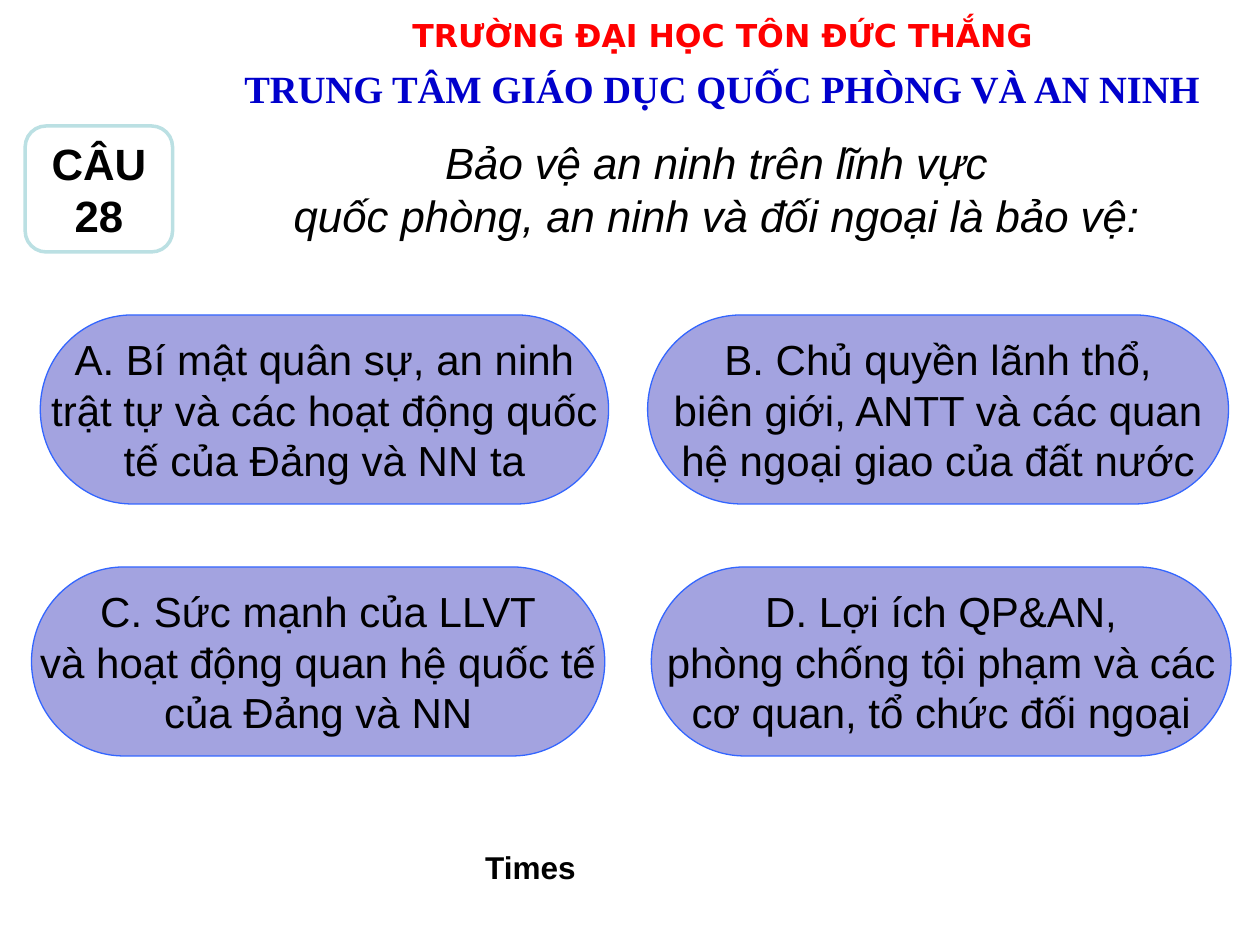
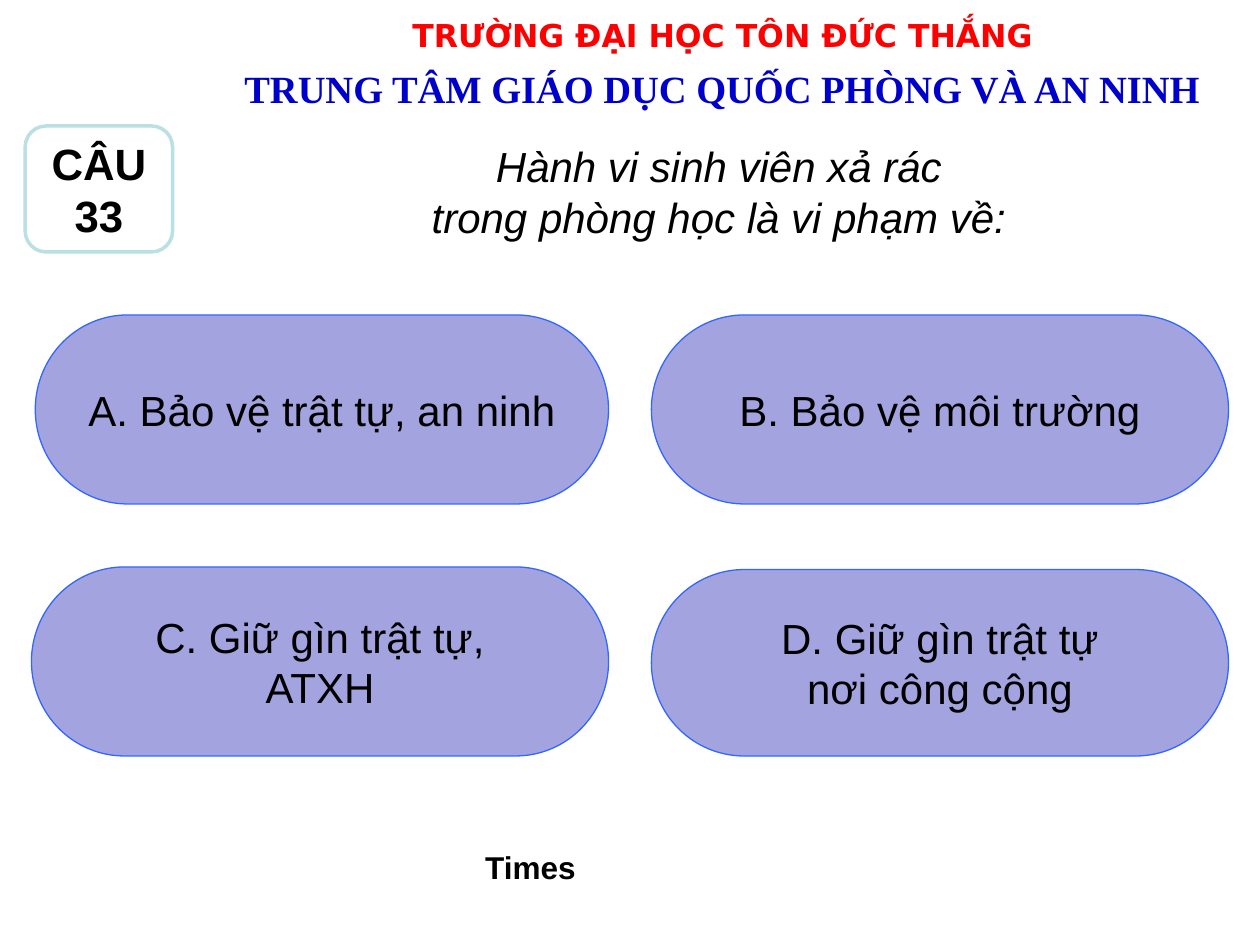
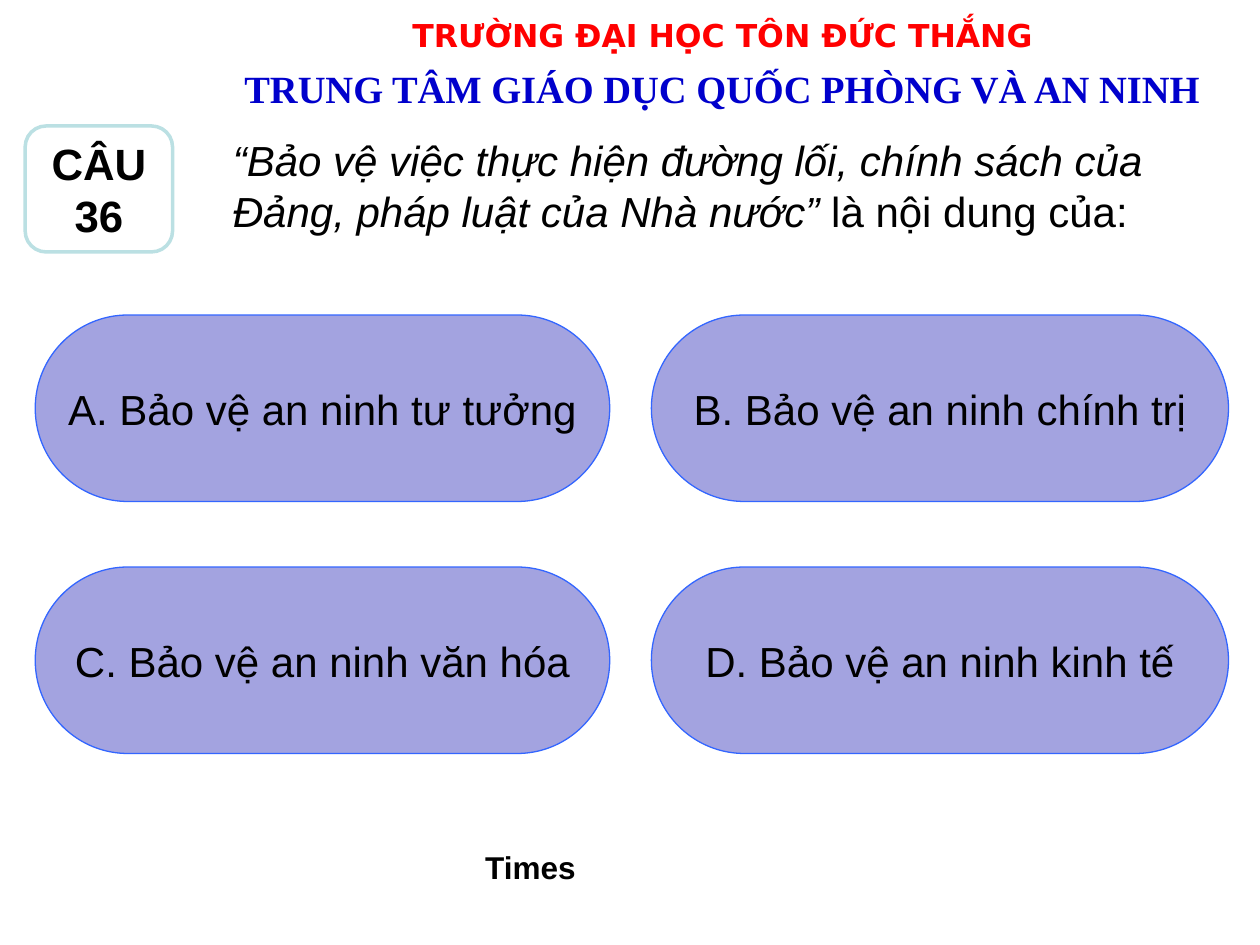
from collections import namedtuple

from pptx import Presentation
from pptx.dml.color import RGBColor
from pptx.enum.shapes import MSO_SHAPE as Shape
from pptx.enum.text import MSO_ANCHOR as Anchor, PP_ALIGN as Align
from pptx.util import Inches, Pt

RED = RGBColor(0xFF, 0x00, 0x00)
BLUE = RGBColor(0x00, 0x00, 0xCC)
BLACK = RGBColor(0x00, 0x00, 0x00)
WHITE = RGBColor(0xFF, 0xFF, 0xFF)
LAVENDER = RGBColor(0xA3, 0xA3, 0xE0)
ANSWER_EDGE = RGBColor(0x33, 0x66, 0xFF)
BADGE_EDGE = RGBColor(0xBB, 0xE0, 0xE3)

Box = namedtuple("Box", "left top width height")
Question = namedtuple("Question", "number box size align paragraphs answers")

UNIVERSITY = dict(name="DejaVu Sans", size=Pt(18), bold=True)
CENTRE = dict(name="Times New Roman", size=Pt(22), bold=True)
ANSWER = dict(name="Arial", size=Pt(24))
BADGE = dict(name="Arial", size=Pt(25), bold=True)
TIMER = dict(name="Arial", size=Pt(18), bold=True)
PROMPT = dict(name="Arial", italic=True)

HEADER_BOX = Box(1.73, 0.08, 8, 0.71)
BADGE_BOX = Box(0.2, 1, 1.17, 1)
TIMER_BOX = Box(3.67, 6.68, 1.08, 0.4)
ROW_TOPS = (2.5, 4.5)

QUESTIONS = [
    Question(
        28, Box(1.88, 1.03, 7.61, 0.94), 25, Align.CENTER,
        [["Bảo vệ an ninh trên lĩnh vực"],
         ["quốc phòng, an ninh và đối ngoại là bảo vệ:"]],
        [(Box(0.32, ROW_TOPS[0], 4.51, 1.5),
          ["A. Bí mật quân sự, an ninh", "trật tự và các hoạt động quốc", "tế của Đảng và NN ta"]),
         (Box(5.14, ROW_TOPS[0], 4.61, 1.5),
          ["B. Chủ quyền lãnh thổ,", "biên giới, ANTT và các quan", "hệ ngoại giao của đất nước"]),
         (Box(0.25, ROW_TOPS[1], 4.55, 1.5),
          ["C. Sức mạnh của LLVT", "và hoạt động quan hệ quốc tế", "của Đảng và NN"]),
         (Box(5.17, ROW_TOPS[1], 4.6, 1.5),
          ["D. Lợi ích QP&AN,", "phòng chống tội phạm và các", "cơ quan, tổ chức đối ngoại"])],
    ),
    Question(
        33, Box(2.4, 1.07, 6.61, 0.9), 24, Align.CENTER,
        [["Hành vi sinh viên xả rác"], ["trong phòng học là vi phạm về:"]],
        [(Box(0.28, ROW_TOPS[0], 4.55, 1.5), ["A. Bảo vệ trật tự, an ninh"]),
         (Box(5.17, ROW_TOPS[0], 4.58, 1.5), ["B. Bảo vệ môi trường"]),
         (Box(0.25, ROW_TOPS[1], 4.58, 1.5), ["C. Giữ gìn trật tự,", "ATXH"]),
         (Box(5.17, 4.52, 4.58, 1.48), ["D. Giữ gìn trật tự", "nơi công cộng"])],
    ),
    Question(
        36, Box(1.75, 1.02, 7.83, 0.9), 24, Align.LEFT,
        [["“Bảo vệ việc thực hiện đường lối, chính sách của "
          "Đảng, pháp luật của Nhà nước”", " là nội dung của:"]],
        [(Box(0.28, ROW_TOPS[0], 4.56, 1.48), ["A. Bảo vệ an ninh tư tưởng"]),
         (Box(5.17, ROW_TOPS[0], 4.58, 1.48), ["B. Bảo vệ an ninh chính trị"]),
         (Box(0.28, ROW_TOPS[1], 4.56, 1.48), ["C. Bảo vệ an ninh văn hóa"]),
         (Box(5.17, ROW_TOPS[1], 4.58, 1.48), ["D. Bảo vệ an ninh kinh tế"])],
    ),
]


def to_inches(box):
    return [Inches(length) for length in box]


def style_font(font, style, color):
    for attribute, value in style.items():
        setattr(font, attribute, value)
    font.color.rgb = color


def write(frame, paragraphs, style, color=BLACK, align=Align.CENTER, wrap=False):
    frame.word_wrap = wrap
    for index, pieces in enumerate(paragraphs):
        paragraph = frame.add_paragraph() if index else frame.paragraphs[0]
        paragraph.alignment = align
        for position, piece in enumerate(pieces):
            run = paragraph.add_run()
            run.text = piece
            style_font(run.font, style, color)
            if position:
                run.font.italic = False


def add_label(slide, box, paragraphs, style, **options):
    label = slide.shapes.add_textbox(*to_inches(box))
    write(label.text_frame, paragraphs, style, **options)


def add_panel(slide, kind, box, lines, style, fill, edge, edge_width):
    panel = slide.shapes.add_shape(kind, *to_inches(box))
    panel.shadow.inherit = False
    panel.fill.solid()
    panel.fill.fore_color.rgb = fill
    panel.line.color.rgb = edge
    panel.line.width = Pt(edge_width)
    panel.text_frame.vertical_anchor = Anchor.MIDDLE
    write(panel.text_frame, [[line] for line in lines], style)


def add_header(slide, box):
    university_box = Box(box.left + 0.3, box.top, box.width - 0.59, 0.34)
    centre_box = Box(box.left, box.top + 0.39, box.width, 0.32)
    add_label(slide, university_box, [["TRƯỜNG ĐẠI HỌC TÔN ĐỨC THẮNG"]], UNIVERSITY, color=RED)
    add_label(slide, centre_box, [["TRUNG TÂM GIÁO DỤC QUỐC PHÒNG VÀ AN NINH"]], CENTRE, color=BLUE)


def add_question_slide(deck, question):
    slide = deck.slides.add_slide(deck.slide_layouts[6])
    add_header(slide, HEADER_BOX)
    add_label(slide, question.box, question.paragraphs,
              dict(PROMPT, size=Pt(question.size)), align=question.align, wrap=True)
    for box, lines in question.answers:
        add_panel(slide, Shape.FLOWCHART_TERMINATOR, box, lines, ANSWER,
                  LAVENDER, ANSWER_EDGE, 0.75)
    add_label(slide, TIMER_BOX, [["Times"]], TIMER, wrap=True)
    add_panel(slide, Shape.ROUNDED_RECTANGLE, BADGE_BOX, ["CÂU", str(question.number)],
              BADGE, WHITE, BADGE_EDGE, 2)


def main():
    deck = Presentation()
    deck.slide_width, deck.slide_height = Inches(10), Inches(7.5)
    for question in QUESTIONS:
        add_question_slide(deck, question)
    deck.save("out.pptx")


if __name__ == "__main__":
    main()
